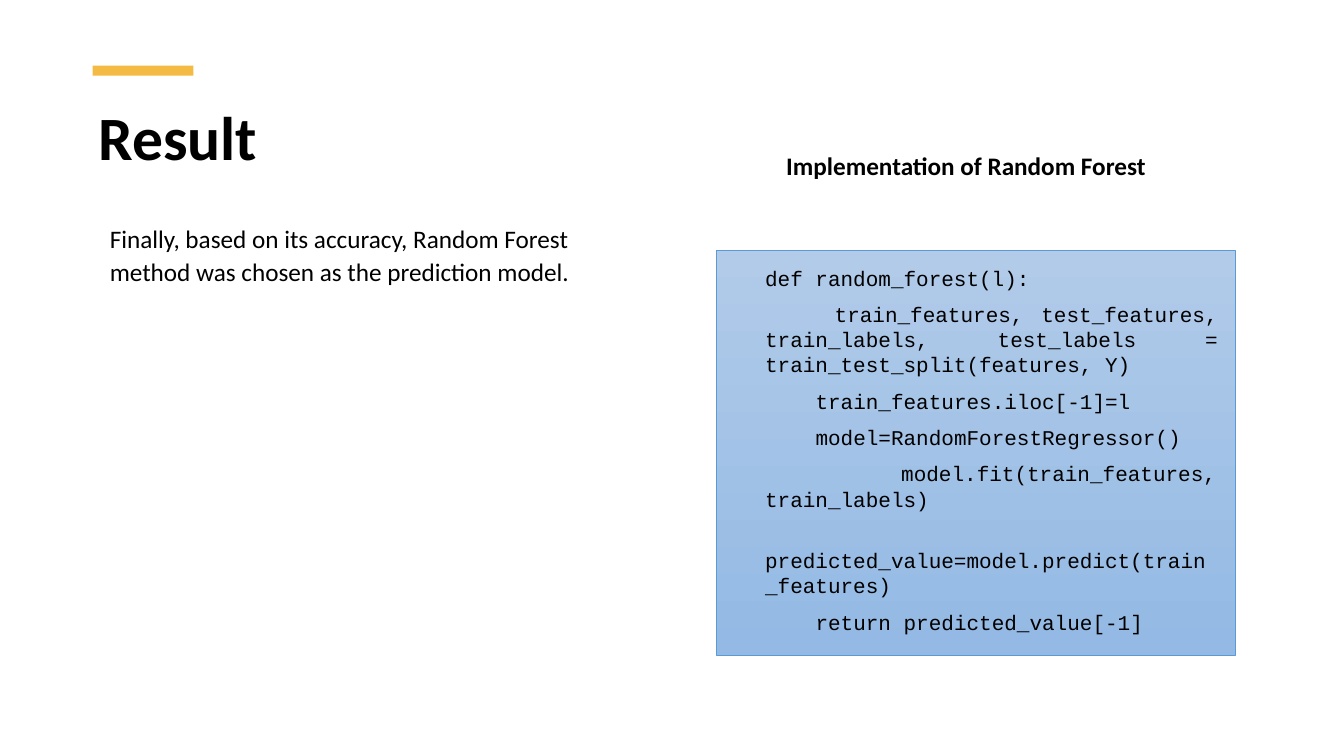
from pptx import Presentation
from pptx.dml.color import RGBColor
from pptx.enum.shapes import MSO_SHAPE
from pptx.enum.text import MSO_ANCHOR, MSO_AUTO_SIZE, PP_ALIGN
from pptx.util import Inches, Pt

RECTANGLE = MSO_SHAPE.RECTANGLE
TOP, BOTTOM = MSO_ANCHOR.TOP, MSO_ANCHOR.BOTTOM
LEFT, JUSTIFY = PP_ALIGN.LEFT, PP_ALIGN.JUSTIFY
FIT_SHAPE, NO_FIT = MSO_AUTO_SIZE.SHAPE_TO_FIT_TEXT, MSO_AUTO_SIZE.NONE

# Code lines: text, first-line indent in inches, space before in points
CODE_LINES = [
    ("def random_forest(l):", 0, 0),
    ("train_features, test_features, train_labels, test_labels = "
     "train_test_split(features, Y)", 0.69, 0),
    ("train_features.iloc[-1]=l", 0.5, 0),
    ("model=RandomForestRegressor()", 0.5, 0),
    ("model.fit(train_features, train_labels)", 1.35, 0),
    ("predicted_value=model.predict(train_features)", 0, 18),
    ("return predicted_value[-1]", 0.5, 0),
]


def color(hex_string):
    return RGBColor.from_string(hex_string)


def write(paragraph, text, font="Calibri", size=18, bold=False, align=LEFT,
          margin=0.3, first_line=0, line_spacing=1.0, before=0, after=8):
    """Fill a paragraph with one formatted run."""
    paragraph.alignment = align
    paragraph.line_spacing = line_spacing
    paragraph.space_before, paragraph.space_after = Pt(before), Pt(after)
    properties = paragraph._p.get_or_add_pPr()
    properties.set("marL", str(Inches(margin)))
    properties.set("indent", str(Inches(first_line)))
    run = paragraph.add_run()
    run.text = text
    run.font.name, run.font.size, run.font.bold = font, Pt(size), bold
    run.font.color.rgb = color("000000")


class SlideBuilder:
    """Places elements by percentages of the slide's width and height."""

    def __init__(self, presentation):
        self.width = presentation.slide_width
        self.height = presentation.slide_height
        self.slide = presentation.slides.add_slide(presentation.slide_layouts[6])

    def area(self, left, top, width, height):
        return (int(self.width * left / 100), int(self.height * top / 100),
                int(self.width * width / 100), int(self.height * height / 100))

    def rectangle(self, *percentages):
        shape = self.slide.shapes.add_shape(RECTANGLE, *self.area(*percentages))
        shape.shadow.inherit = False
        return shape

    def bar(self, *percentages, fill):
        shape = self.rectangle(*percentages)
        shape.fill.solid()
        shape.fill.fore_color.rgb = color(fill)
        shape.line.fill.background()

    def gradient_panel(self, *percentages, fills, line):
        shape = self.rectangle(*percentages)
        shape.fill.gradient()
        shape.fill.gradient_angle = 270
        for stop, position, fill in zip(shape.fill.gradient_stops, (0, 1), fills):
            stop.position = position
            stop.color.rgb = color(fill)
        shape.line.color.rgb = color(line)
        shape.line.width = Pt(0.5)

    def text_frame(self, *percentages, anchor=TOP, fit=FIT_SHAPE):
        frame = self.slide.shapes.add_textbox(*self.area(*percentages)).text_frame
        frame.word_wrap = True
        frame.auto_size = fit
        frame.vertical_anchor = anchor
        return frame

    def text(self, *percentages, text, anchor=TOP, fit=FIT_SHAPE, **style):
        frame = self.text_frame(*percentages, anchor=anchor, fit=fit)
        write(frame.paragraphs[0], text, **style)

    def code(self, *percentages, lines):
        frame = self.text_frame(*percentages)
        for number, (text, first_line, before) in enumerate(lines):
            paragraph = frame.add_paragraph() if number else frame.paragraphs[0]
            write(paragraph, text, font="Courier New", size=15, align=JUSTIFY,
                  first_line=first_line, before=before)


def main():
    presentation = Presentation()
    presentation.slide_width = Inches(13.33)
    presentation.slide_height = Inches(7.5)
    builder = SlideBuilder(presentation)

    # Title with accent bar
    builder.text(6.6, 9.73, 67.37, 13.87, text="Result", anchor=BOTTOM, fit=NO_FIT,
                 size=44, bold=True, margin=0, line_spacing=0.9, after=6)
    builder.bar(6.9, 8.67, 7.5, 1.33, fill="F4BB44")

    # Conclusion on the left
    builder.text(5.18, 28.67, 42.61, 9.73, line_spacing=1.07,
                 text="Finally, based on its accuracy, Random Forest method "
                      "was chosen as the prediction model.")

    # Code listing on the right
    builder.text(55.51, 18.93, 42.61, 5.47, line_spacing=1.07, bold=True,
                 text="Implementation of Random Forest")
    builder.gradient_panel(53.34, 33.07, 38.56, 53.6,
                           fills=("B1CBE9", "93B9E4"), line="5B9BD5")
    builder.code(53.94, 34.4, 37.43, 50.67, lines=CODE_LINES)

    presentation.save("out.pptx")


if __name__ == "__main__":
    main()
